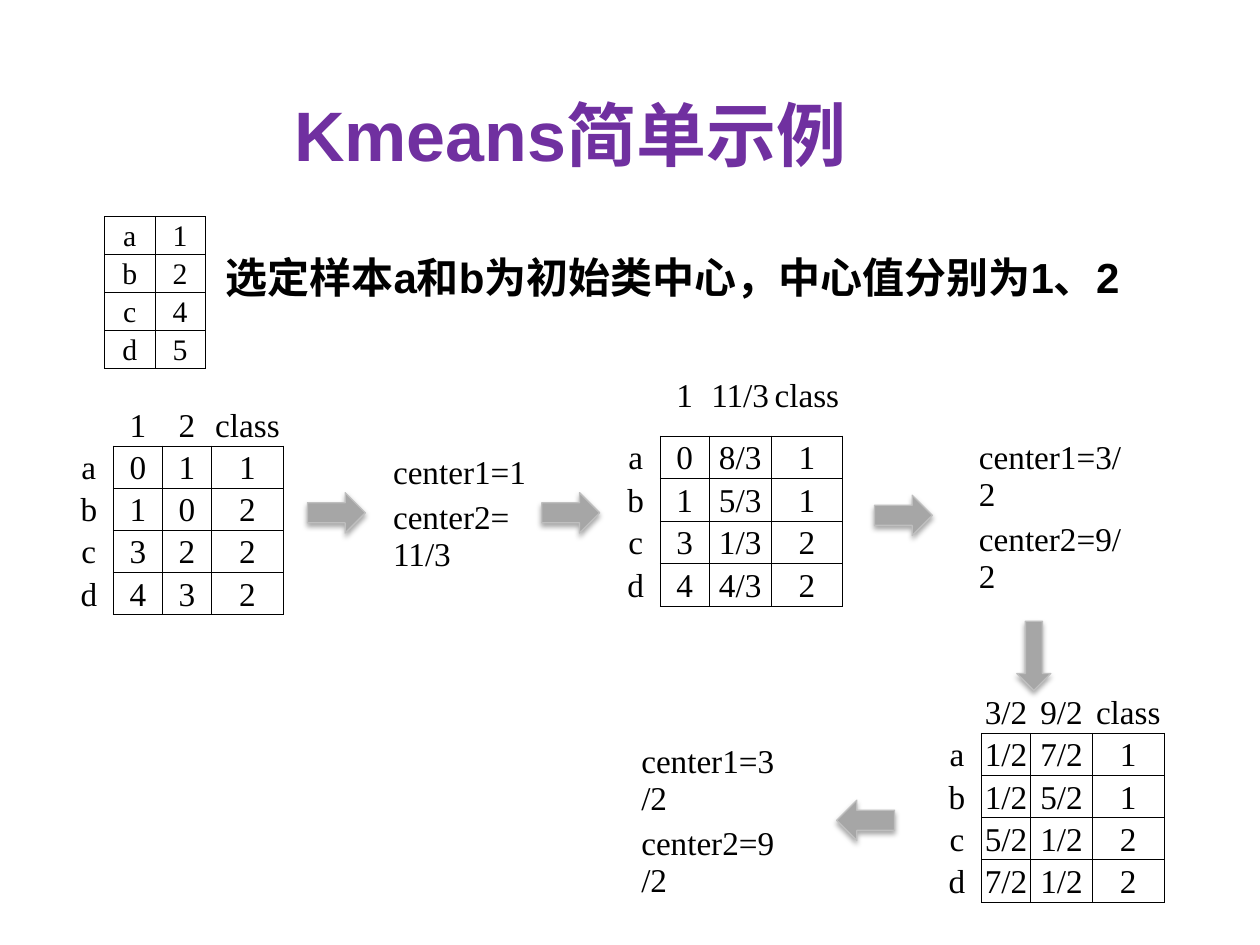
from dataclasses import dataclass

from lxml import etree
from pptx import Presentation
from pptx import util as u
from pptx.dml import color
from pptx.enum import shapes, text
from pptx.oxml import ns


@dataclass(frozen=True)
class Theme:
    sans: str = "Arial"
    serif: str = "Times New Roman"
    title: str = "7030A0"
    ink: str = "000000"
    arrow: str = "A6A6A6"
    edge: str = "BFBFBF"
    head: int = 40
    lead: int = 24
    cell: int = 19
    small: int = 17
    rule: float = 0.5
    rim: float = 0.75


def rgb(code):
    return color.RGBColor.from_string(code)


def node(host, tag, **attrs):
    return etree.SubElement(host, ns.qn(tag), attrs)


class Page:
    def __init__(self, deck, theme, cols=100, rows=75):
        self.theme = theme
        self.slide = deck.slides.add_slide(deck.slide_layouts[1])
        self.dx = deck.slide_width / cols
        self.dy = deck.slide_height / rows

    def place(self, x, y, w, h):
        return [int(v * k) for v, k in zip((x, y, w, h), (self.dx, self.dy) * 2)]

    def label(self, para, words, size, face, ink, bold=False):
        run = para.add_run()
        run.text = words
        font = run.font
        font.size, font.name, font.bold = u.Pt(size), face, bold
        font.color.rgb = rgb(ink)

    def holder(self, index, box, words, size, ink, align, anchor):
        item = self.slide.placeholders[index]
        item.left, item.top, item.width, item.height = self.place(*box)
        frame = item.text_frame
        frame.word_wrap = True
        frame.auto_size = text.MSO_AUTO_SIZE.NONE
        frame.vertical_anchor = anchor
        para = frame.paragraphs[0]
        props = para._p.get_or_add_pPr()
        props.set("marL", "0")
        props.set("indent", "0")
        node(props, "a:buNone")
        para.alignment = align
        para.space_before = u.Pt(0)
        self.label(para, words, size, self.theme.sans, ink, True)

    def border(self, cell, sides):
        props = cell._tc.get_or_add_tcPr()
        for spot, (side, drawn) in enumerate(sides.items()):
            line = etree.Element(ns.qn("a:ln" + side), w=str(u.Pt(self.theme.rule)))
            if drawn:
                fill = node(line, "a:solidFill")
                node(fill, "a:srgbClr", val=self.theme.ink)
            else:
                node(line, "a:noFill")
            props.insert(spot, line)

    def table(self, x, y, wide, high, data, size=None, first=None,
              align=text.PP_ALIGN.CENTER):
        count, width = len(data), len(wide)
        box = self.place(x, y, sum(wide), sum(high))
        grid = self.slide.shapes.add_table(count, width, *box).table
        grid.first_row = grid.horz_banding = False
        for col, w in zip(grid.columns, wide):
            col.width = int(w * self.dx)
        for row, h in zip(grid.rows, high):
            row.height = int(h * self.dy)

        def ruled(r, c):
            return first is not None and first <= r < count and first <= c < width

        for r, row in enumerate(data):
            for c, words in enumerate(row):
                cell = grid.cell(r, c)
                cell.margin_left = cell.margin_right = u.Inches(0.01)
                cell.margin_top, cell.margin_bottom = u.Inches(0.02), 0
                cell.vertical_anchor = text.MSO_ANCHOR.MIDDLE
                cell.fill.background()
                near = {"L": (r, c - 1), "R": (r, c + 1),
                        "T": (r - 1, c), "B": (r + 1, c)}
                self.border(cell, {side: ruled(r, c) or ruled(*spot)
                                   for side, spot in near.items()})
                frame = cell.text_frame
                for i, part in enumerate(words.split("\n")):
                    para = frame.add_paragraph() if i else frame.paragraphs[0]
                    para.alignment = align
                    if part:
                        self.label(para, part, size or self.theme.cell,
                                   self.theme.serif, self.theme.ink)

    def step(self, x, y, wide, high, heads, rows):
        data = [["", *heads.split()]]
        data += [[name, *row.split()] for name, row in zip("abcd", rows)]
        lines = [high[0]] + [(high[1] - high[0]) / len(rows)] * len(rows)
        self.table(x, y, wide, lines, data, first=1)

    def note(self, x, y, w, high, *lines):
        self.table(x, y, [w], high, [[line] for line in lines],
                   align=text.PP_ALIGN.LEFT)

    def arrow(self, x, y, w=4.6, h=3.2, turn=0):
        kind = shapes.MSO_SHAPE.RIGHT_ARROW
        item = self.slide.shapes.add_shape(kind, *self.place(x, y, w, h))
        item.rotation = turn
        item.fill.solid()
        item.fill.fore_color.rgb = rgb(self.theme.arrow)
        item.line.color.rgb = rgb(self.theme.edge)
        item.line.width = u.Pt(self.theme.rim)
        item.shadow.inherit = False
        glow = item._element.spPr.find(ns.qn("a:effectLst"))
        shade = node(glow, "a:outerShdw", blurRad=str(u.Pt(3.1)),
                     dist=str(u.Pt(1.8)), dir="5400000", rotWithShape="0")
        tint = node(shade, "a:srgbClr", val=self.theme.ink)
        node(tint, "a:alpha", val="35000")


def main():
    deck = Presentation()
    deck.slide_width, deck.slide_height = u.Inches(10), u.Inches(7.5)
    theme = Theme()
    page = Page(deck, theme)

    page.holder(0, (16.1, 6.8, 58.3, 7.7), "Kmeans简单示例", theme.head,
                theme.title, text.PP_ALIGN.CENTER, text.MSO_ANCHOR.TOP)
    page.holder(1, (16.9, 19.6, 75.6, 4.7),
                "选定样本a和b为初始类中心，中心值分别为1、2", theme.lead,
                theme.ink, text.PP_ALIGN.LEFT, text.MSO_ANCHOR.MIDDLE)

    page.table(8.3, 17.2, [4] * 2, [3] * 4, list(zip("abcd", "1245")),
               size=theme.small, first=0)

    slim, broad = [3.9, 3.9, 3.9, 5.7], [3.9, 3.9, 4.9, 5.7]
    low, tall = (3.4, 16.8), (6.5, 20)
    page.step(5.1, 32, slim, low, "1 2 class",
              ["0 1 1", "1 0 2", "3 2 2", "4 3 2"])
    page.step(48.5, 28.1, broad, tall, "1 11/3 class",
              ["0 8/3 1", "1 5/3 1", "3 1/3 2", "4 4/3 2"])
    page.step(74, 54.8, broad, low, "3/2 9/2 class",
              ["1/2 7/2 1", "1/2 5/2 1", "5/2 1/2 2", "7/2 1/2 2"])

    page.note(31.1, 35.8, 12, [3.4, 6.6], "center1=1", "center2=\n11/3")
    for x, y, w in (77.6, 34.5, 12.2), (50.8, 58.6, 11.4):
        page.note(x, y, w, [6.5] * 2, "center1=3/2", "center2=9/2")

    for x, y in (24.4, 39.1), (43, 39.1), (69.4, 39.3):
        page.arrow(x, y)
    page.arrow(79.3, 50.7, 5.5, 2.7, turn=90)
    page.arrow(66.4, 63.5, turn=180)

    deck.save("out.pptx")


if __name__ == "__main__":
    main()
